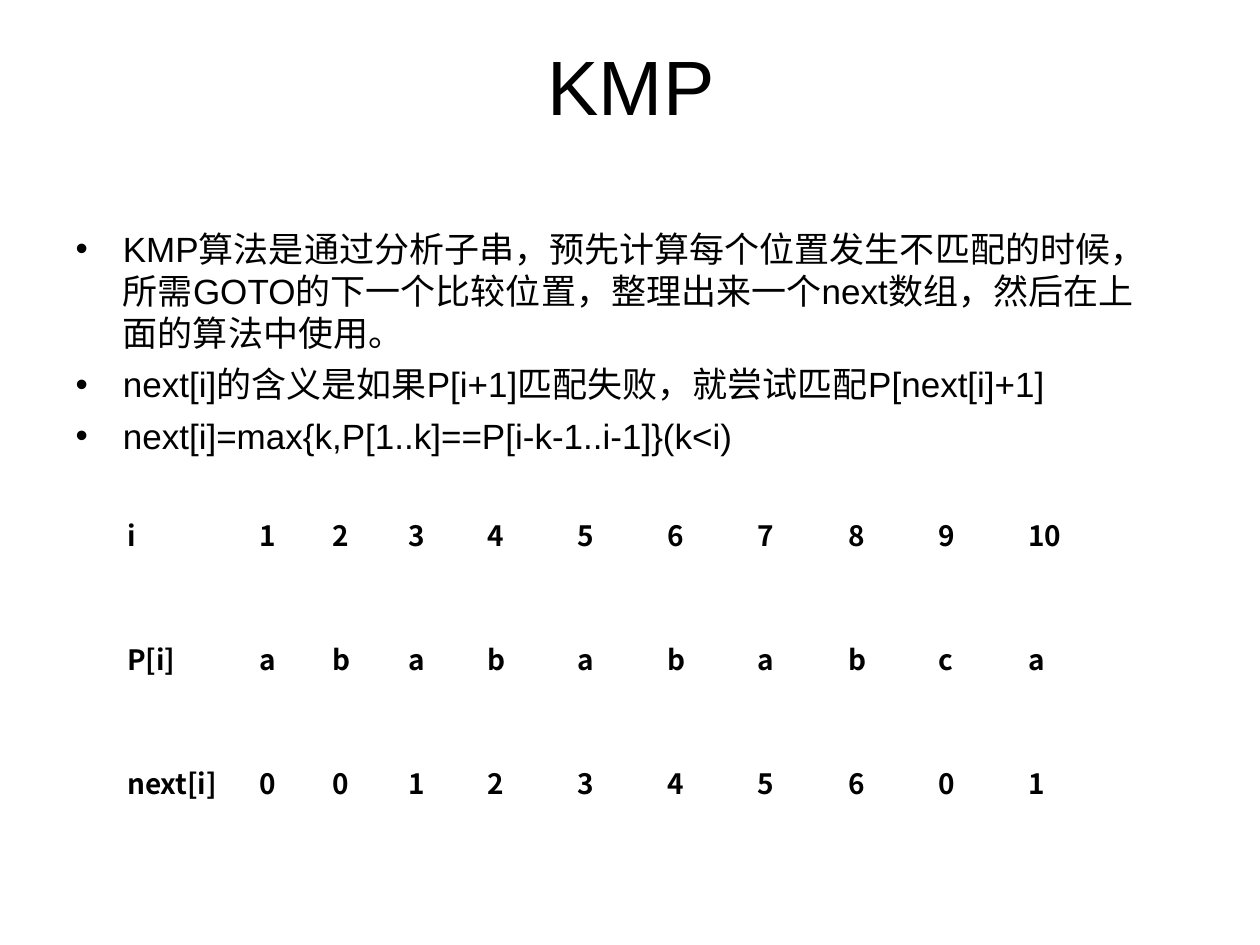
import pptx
import pptx.dml.color
import pptx.enum.text
import pptx.util
from pptx.oxml.ns import qn
from pptx.util import Inches

BLACK = "000000"
CJK_FONT = "Noto Sans CJK SC"
TITLE_TEXT = {"name": "Arial", "size": pptx.util.Pt(44)}
POINT_TEXT = {"name": "Arial", "size": pptx.util.Pt(20)}
CELL_TEXT = {"name": CJK_FONT, "size": pptx.util.Pt(16), "bold": True}
POINT_SPACING = {"space_before": pptx.util.Pt(5), "line_spacing": pptx.util.Pt(24.2)}

POINTS = [
    "KMP算法是通过分析子串，预先计算每个位置发生不匹配的时候，"
    "所需GOTO的下一个比较位置，整理出来一个next数组，然后在上面的算法中使用。",
    "next[i]的含义是如果P[i+1]匹配失败，就尝试匹配P[next[i]+1]",
    "next[i]=max{k,P[1..k]==P[i-k-1..i-1]}(k<i)",
]
NEXT_ROWS = [
    ["i", *range(1, 11)],
    ["P[i]", *"ababababca"],
    ["next[i]", *"0012345601"],
]


def set_values(target, values):
    """Set each attribute of the target from a dict."""
    for attribute, value in values.items():
        setattr(target, attribute, value)


def set_color(color_format, color):
    """Give a colour format an RRGGBB colour."""
    color_format.rgb = pptx.dml.color.RGBColor.from_string(color)


def write(paragraph, text, font_values):
    """Add one formatted run to a paragraph."""
    run = paragraph.add_run()
    run.text = str(text)
    set_values(run.font, font_values)
    set_color(run.font.color, BLACK)
    east_asian = run.font._element.makeelement(qn("a:ea"), {"typeface": CJK_FONT})
    run.font._element.append(east_asian)


def place(placeholder, box):
    """Move a placeholder to a box of left, top, width and height."""
    set_values(placeholder, dict(zip(("left", "top", "width", "height"), box)))
    placeholder.text_frame.auto_size = pptx.enum.text.MSO_AUTO_SIZE.NONE


def add_title(slide, box, text):
    """Fill the title placeholder."""
    heading = slide.shapes.title
    place(heading, box)
    write(heading.text_frame.paragraphs[0], text, TITLE_TEXT)


def add_points(slide, box, points):
    """Fill the body placeholder with bulleted points."""
    body = slide.placeholders[1]
    place(body, box)
    frame = body.text_frame
    for index, point in enumerate(points):
        paragraph = frame.add_paragraph() if index else frame.paragraphs[0]
        set_values(paragraph, POINT_SPACING)
        write(paragraph, point, POINT_TEXT)


def add_next_table(slide, box, rows):
    """Add the unfilled table; the later columns share the width left over."""
    next_table = slide.shapes.add_table(len(rows), len(rows[0]), *box).table
    set_values(next_table, {"first_row": False, "horz_banding": False})
    widths = [Inches(w) for w in (1.05, 0.58, 0.6, 0.63)]
    shared_count = len(rows[0]) - len(widths)
    widths += [(box[2] - sum(widths)) // shared_count] * shared_count
    for column, width in zip(next_table.columns, widths):
        column.width = width
    for r, row in enumerate(rows):
        for c, text in enumerate(row):
            cell = next_table.cell(r, c)
            cell.fill.background()
            cell.vertical_anchor = pptx.enum.text.MSO_ANCHOR.MIDDLE
            paragraph = cell.text_frame.paragraphs[0]
            paragraph.space_before = pptx.util.Pt(4)
            write(paragraph, text, CELL_TEXT)


def add_kmp_slide(deck):
    """Build the slide that explains the next array."""
    slide = deck.slides.add_slide(deck.slide_layouts[1])
    add_title(slide, [Inches(v) for v in (0.51, 0.05, 9, 1.25)], "KMP")
    add_points(slide, [Inches(v) for v in (0.5, 1.75, 8.6, 2.24)], POINTS)
    add_next_table(slide, [Inches(v) for v in (0.91, 3.75, 7.87, 2.95)], NEXT_ROWS)


deck = pptx.Presentation()
set_values(deck, {"slide_width": Inches(10), "slide_height": Inches(7.5)})
add_kmp_slide(deck)
deck.save("out.pptx")
